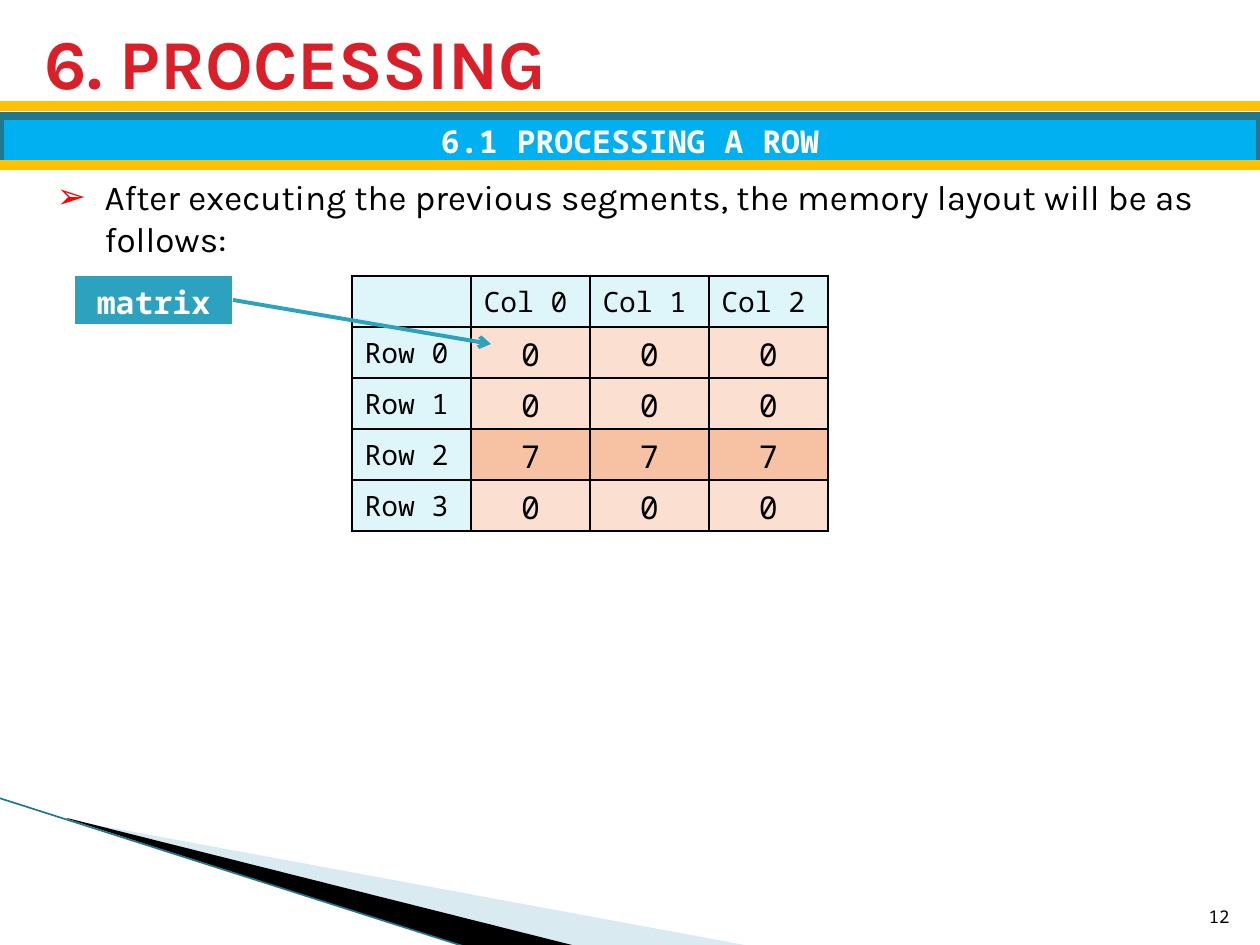
"""Build the slide on processing a matrix row."""
from dataclasses import dataclass

from lxml import etree
from pptx import Presentation
from pptx.dml import color
from pptx.enum import shapes, text
from pptx.oxml import ns, parse_xml
from pptx.util import Emu, Pt

SCALE = 914400 / 126
WIDTH, HEIGHT = 1260, 945
SANS, MONO = "Karla", "Noto Sans Mono"
BLACK, WHITE, GOLD, TEAL = "000000", "FFFFFF", "FFC000", "2DA2BF"
DARK_TEAL, SKY, PALE_BLUE, PEACH, ORANGE = "21788D", "00B0F0", "DEF5FA", "FBE0D1", "F7C1A4"
LEFT, CENTER, RIGHT = text.PP_ALIGN.LEFT, text.PP_ALIGN.CENTER, text.PP_ALIGN.RIGHT
MIDDLE, TOP, BOTTOM = text.MSO_ANCHOR.MIDDLE, text.MSO_ANCHOR.TOP, text.MSO_ANCHOR.BOTTOM


@dataclass(frozen=True)
class Style:
    """Typeface, size, colour and alignment of a text."""
    name: str
    size: int
    color: str = BLACK
    bold: bool = False
    align: text.PP_ALIGN = LEFT


@dataclass(frozen=True)
class Wedge:
    """Filled polygon of the corner ornament."""
    points: tuple
    fill: str
    opacity: int = 100


@dataclass(frozen=True)
class Stroke:
    """Straight line between two points."""
    start: tuple
    end: tuple
    color: str
    width: float
    arrow: bool = False


@dataclass(frozen=True)
class Cell:
    """Text, style and fill of one table cell."""
    text: str
    style: Style
    fill: str


WEDGES = (
    Wedge(((69, 820), (750, 946), (575, 946), (69, 819)), "A0CBDC", 40),
    Wedge(((67, 818), (576, 946), (469, 948), (68, 819)), BLACK),
)
CORNER_EDGE = Stroke((-1, 798), (469, 948), DARK_TEAL, 0.95)
RULES = tuple(Stroke((0, y), (WIDTH, y), GOLD, 6) for y in (106, 165))
POINTER = Stroke((233, 300), (491, 344), TEAL, 2.25, True)
LABEL = Style(MONO, 16)
NUMBER = Style(MONO, 18, align=CENTER)
BANNER = Style(MONO, 18, WHITE, True, CENTER)
VALUES = ((0, 0, 0), (0, 0, 0), (7, 7, 7), (0, 0, 0))


def px(value: int) -> Emu:
    """Turn pixels into EMU."""
    return Emu(round(value * SCALE))


def rgb(value: str) -> color.RGBColor:
    """Turn a hex string into a colour."""
    return color.RGBColor.from_string(value)


def paint(target, value: str) -> None:
    """Fill a shape, cell, line or font with a solid colour."""
    target.fill.solid()
    target.fill.fore_color.rgb = rgb(value)


def set_all(target, values: dict) -> None:
    """Set attributes from a dict of format values."""
    for key, value in values.items():
        setattr(target, key, value)


def place(box, left: int, top: int, width: int, height: int) -> None:
    """Move and size a shape."""
    values = {"left": left, "top": top, "width": width, "height": height}
    set_all(box, {key: px(value) for key, value in values.items()})


def write(frame, words: str, style: Style, anchor=None) -> None:
    """Write one styled paragraph into a text frame."""
    if anchor is not None:
        set_all(frame, {"word_wrap": True, "auto_size": text.MSO_AUTO_SIZE.NONE,
                        "vertical_anchor": anchor})
    para = frame.paragraphs[0]
    set_all(para, {"alignment": style.align, "space_before": Pt(0)})
    span = para.add_run()
    span.text = words
    set_all(span.font, {"name": style.name, "size": Pt(style.size), "bold": style.bold})
    paint(span.font, style.color)


def add_bullet(para, mark: str, shade: str, indent: int) -> None:
    """Give a paragraph a coloured bullet with a hanging indent."""
    props = para._p.get_or_add_pPr()
    props.set("marL", str(px(indent)))
    props.set("indent", str(-px(indent)))
    tint = etree.SubElement(props, ns.qn("a:buClr"))
    etree.SubElement(tint, ns.qn("a:srgbClr"), val=shade)
    etree.SubElement(props, ns.qn("a:buChar"), char=mark)


def draw_wedge(page, wedge: Wedge) -> None:
    """Draw one polygon of the corner ornament."""
    points = [(px(x), px(y)) for x, y in wedge.points]
    builder = page.shapes.build_freeform(*points[0])
    builder.add_line_segments(points[1:])
    shape = builder.convert_to_shape()
    shape.shadow.inherit = False
    shape.line.fill.background()
    paint(shape, wedge.fill)
    if wedge.opacity < 100:
        shade = shape._element.spPr.find(".//" + ns.qn("a:srgbClr"))
        etree.SubElement(shade, ns.qn("a:alpha"), val=str(wedge.opacity * 1000))


def draw_stroke(page, stroke: Stroke) -> None:
    """Draw a line, with an arrowhead where asked."""
    ends = [px(value) for value in stroke.start + stroke.end]
    line = page.shapes.add_connector(shapes.MSO_CONNECTOR.STRAIGHT, *ends)
    paint(line.line, stroke.color)
    line.line.width = Pt(stroke.width)
    if stroke.arrow:
        etree.SubElement(line.line._ln, ns.qn("a:tailEnd"), type="arrow")
    etree.SubElement(line._element.spPr, ns.qn("a:effectLst"))


def set_borders(cell, shade: str, widths: dict) -> None:
    """Draw the four borders of a table cell."""
    props = cell._tc.get_or_add_tcPr()
    for side, width in widths.items():
        props.append(parse_xml(
            f'<a:ln{side} {ns.nsdecls("a")} w="{Pt(width)}"><a:solidFill>'
            f'<a:srgbClr val="{shade}"/></a:solidFill></a:ln{side}>'))


def draw_table(page, left: int, top: int, col: int, row: int, rows: list,
               border: str, bottom: int = 1) -> None:
    """Draw a table of equal cells."""
    count = len(rows[0])
    size = px(left), px(top), px(col * count), px(row * len(rows))
    table = page.shapes.add_table(len(rows), count, *size).table
    set_all(table, {"first_row": False, "horz_banding": False})
    for column in table.columns:
        column.width = px(col)
    for line, cells in zip(table.rows, rows):
        line.height = px(row)
        for cell, data in zip(line.cells, cells):
            cell.margin_bottom = 0
            set_borders(cell, border, {"L": 1, "R": 1, "T": 1, "B": bottom})
            paint(cell, data.fill)
            write(cell.text_frame, data.text, data.style)


def matrix_rows() -> list:
    """List the cells of the memory layout, headings included."""
    heads = ["", *(f"Col {index}" for index in range(len(VALUES[0])))]
    rows = [[Cell(head, LABEL, PALE_BLUE) for head in heads]]
    for index, values in enumerate(VALUES):
        fill = ORANGE if any(values) else PEACH
        rows.append([Cell(f"Row {index}", LABEL, PALE_BLUE),
                     *(Cell(str(value), NUMBER, fill) for value in values)])
    return rows


def draw_banner(page, words: str) -> None:
    """Draw the section banner across the page."""
    box = page.shapes.add_shape(shapes.MSO_SHAPE.RECTANGLE, 0, px(116), px(WIDTH), px(49))
    box.shadow.inherit = False
    paint(box, SKY)
    paint(box.line, DARK_TEAL)
    box.line.width = Pt(4.33)
    write(box.text_frame, words, BANNER, MIDDLE)


def main() -> None:
    """Build and save the deck."""
    deck = Presentation()
    set_all(deck, {"slide_width": px(WIDTH), "slide_height": px(HEIGHT)})
    page = deck.slides.add_slide(deck.slide_layouts[1])
    title, body = page.placeholders
    place(title, 32, 21, 1193, 82)
    write(title.text_frame, "6. PROCESSING", Style(SANS, 40, "DA1F28", True), MIDDLE)
    place(body, 44, 169, 1191, 97)
    add_bullet(body.text_frame.paragraphs[0], "➢", "FF0000", 48)
    write(body.text_frame, "After executing the previous segments, the memory layout "
          "will be as follows:", Style(SANS, 20), TOP)
    for wedge in WEDGES:
        draw_wedge(page, wedge)
    for stroke in (CORNER_EDGE, RULES[0]):
        draw_stroke(page, stroke)
    number = page.shapes.add_textbox(px(1192), px(883), px(50), px(50))
    write(number.text_frame, "12", Style(MONO, 10, align=RIGHT), BOTTOM)
    draw_banner(page, "6.1 PROCESSING A ROW")
    draw_stroke(page, RULES[1])
    draw_table(page, 352, 276, 119, 51, matrix_rows(), BLACK)
    draw_table(page, 74, 275, 159, 51, [[Cell("matrix", BANNER, TEAL)]], WHITE, 3)
    draw_stroke(page, POINTER)
    deck.save("out.pptx")


if __name__ == "__main__":
    main()
